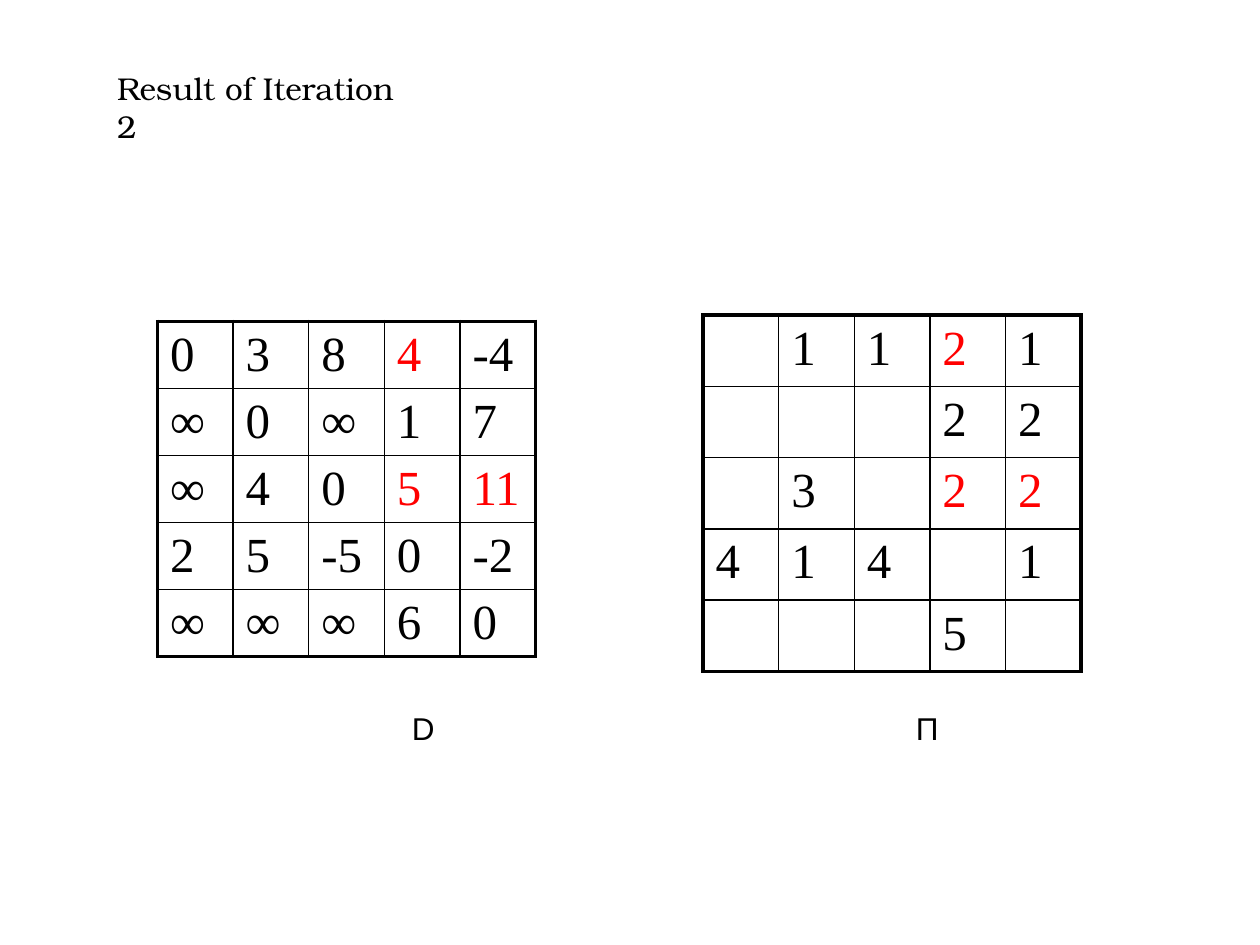
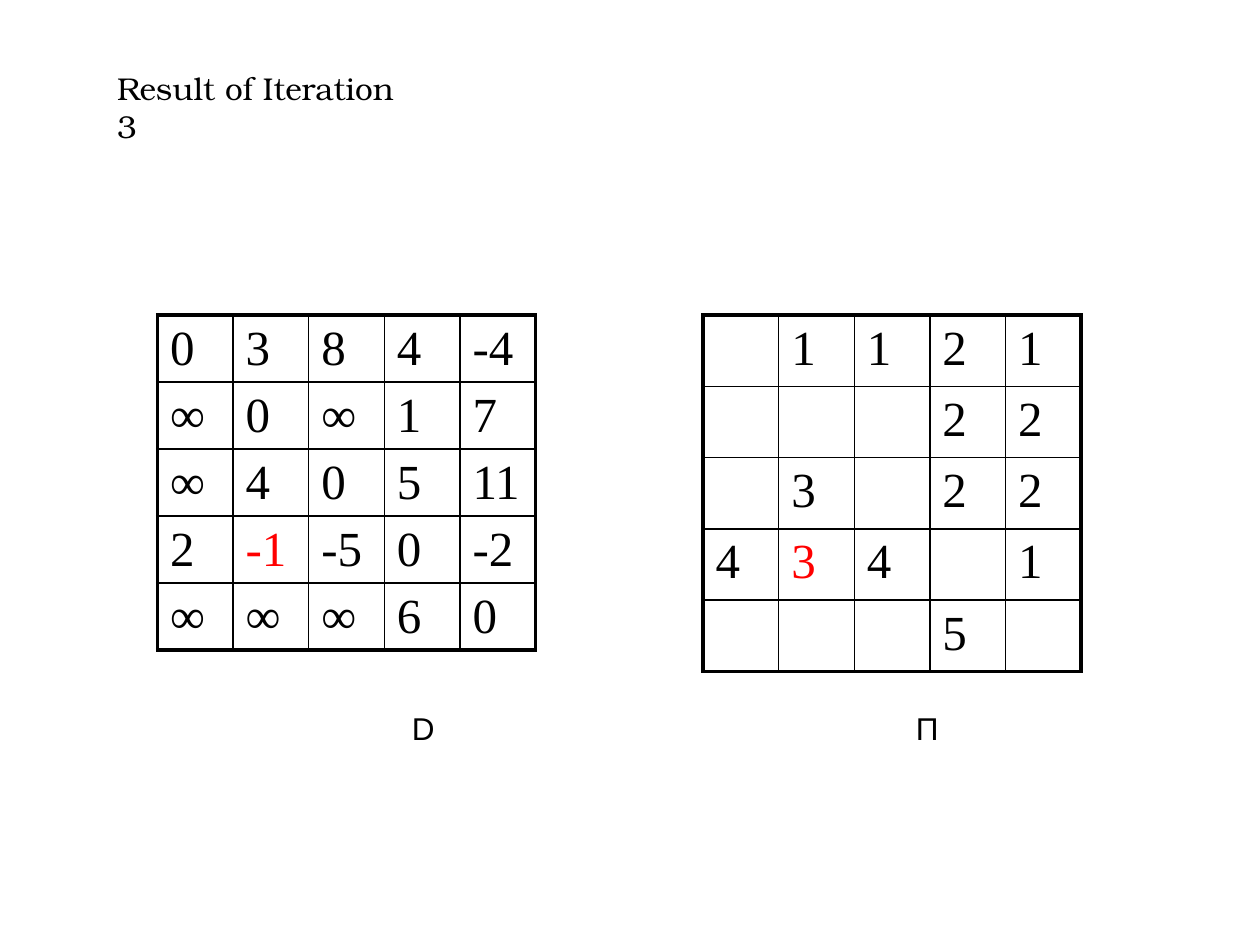
from dataclasses import dataclass

from lxml import etree
from pptx import Presentation
from pptx.dml.color import RGBColor
from pptx.enum import text
from pptx.oxml import ns
from pptx.util import Inches, Pt

BLACK = RGBColor(0x00, 0x00, 0x00)
RED = RGBColor(0xFF, 0x00, 0x00)
TITLE_FONT = "TeX Gyre Bonum"
LABEL_FONT = "Arial"
CELL_FONT = "Times New Roman"
THIN, THICK = Pt(1), Pt(2.25)
CELL_WIDTH = Inches(0.6)
TITLE_ONLY = 5
EMPTY, CHANGED = ".", "*"


@dataclass(frozen=True)
class Matrix:
    """Rows of entries; "." is an empty cell, "*" marks a changed value."""
    left: float
    top: float
    height: float
    rows: tuple[str, ...]


@dataclass(frozen=True)
class Iteration:
    number: int
    distances: Matrix
    predecessors: Matrix


ITERATIONS = (
    Iteration(
        2,
        Matrix(1.25, 2.55, 2.66, ("0 3 8 4* -4", "∞ 0 ∞ 1 7", "∞ 4 0 5* 11*",
                                  "2 5 -5 0 -2", "∞ ∞ ∞ 6 0")),
        Matrix(5.58, 2.5, 2.83, (". 1 1 2* 1", ". . . 2 2", ". 3 . 2* 2*",
                                 "4 1 4 . 1", ". . . 5 .")),
    ),
    Iteration(
        3,
        Matrix(1.25, 2.5, 2.66, ("0 3 8 4 -4", "∞ 0 ∞ 1 7", "∞ 4 0 5 11",
                                 "2 -1* -5 0 -2", "∞ ∞ ∞ 6 0")),
        Matrix(5.58, 2.5, 2.83, (". 1 1 2 1", ". . . 2 2", ". 3 . 2 2",
                                 "4 3* 4 . 1", ". . . 5 .")),
    ),
)


def style_paragraph(para, font_name: str, size: int, color: RGBColor = BLACK) -> None:
    para.font.name = font_name
    para.font.size = Pt(size)
    para.font.color.rgb = color


def set_borders(cell, widths: dict[str, int]) -> None:
    """Draw black cell borders; widths maps L, R, T, B to line widths."""
    properties = cell._tc.get_or_add_tcPr()
    for position, (side, width) in enumerate(widths.items()):
        line = etree.Element(ns.qn(f"a:ln{side}"), w=str(width))
        fill = etree.SubElement(line, ns.qn("a:solidFill"))
        etree.SubElement(fill, ns.qn("a:srgbClr"), val=str(BLACK))
        properties.insert(position, line)


def add_title(page, number: int) -> None:
    title = page.shapes.title
    title.left, title.top = Inches(0.83), Inches(0.5)
    title.width, title.height = Inches(2.42), Inches(0.4)
    frame = title.text_frame
    frame.text = f"Result of Iteration {number}"
    frame.word_wrap = True
    frame.auto_size = text.MSO_AUTO_SIZE.NONE
    frame.vertical_anchor = text.MSO_ANCHOR.TOP
    para = frame.paragraphs[0]
    para.alignment = text.PP_ALIGN.LEFT
    style_paragraph(para, TITLE_FONT, 18)


def add_matrix(page, matrix: Matrix) -> None:
    entries = [row.split() for row in matrix.rows]
    size = len(entries)
    table = page.shapes.add_table(size, size, Inches(matrix.left), Inches(matrix.top),
                                  CELL_WIDTH * size, Inches(matrix.height)).table
    table.first_row = table.horz_banding = False
    last = size - 1
    for r, row in enumerate(entries):
        for c, entry in enumerate(row):
            cell = table.cell(r, c)
            cell.fill.background()
            cell.text = "" if entry == EMPTY else entry.rstrip(CHANGED)
            color = RED if entry.endswith(CHANGED) else BLACK
            style_paragraph(cell.text_frame.paragraphs[0], CELL_FONT, 28, color)
            outer = {"L": c == 0, "R": c == last, "T": r == 0, "B": r == last}
            set_borders(cell, {side: THICK if edge else THIN
                               for side, edge in outer.items()})


def add_labels(page) -> None:
    """Name both matrices on one line, placed by tab stops."""
    box = page.shapes.add_textbox(Inches(2.17), Inches(5.58), Inches(5.65), Inches(0.4))
    box.text_frame.word_wrap = True
    para = box.text_frame.paragraphs[0]
    para.text = "\tD\tΠ"
    style_paragraph(para, LABEL_FONT, 18)
    properties = para._p.get_or_add_pPr()
    stops = etree.Element(ns.qn("a:tabLst"))
    for stop in (Inches(1), Inches(5)):
        etree.SubElement(stops, ns.qn("a:tab"), pos=str(stop), algn="l")
    properties.insert(0, stops)  # tab stops precede the default run properties


def main() -> None:
    deck = Presentation()
    deck.slide_width, deck.slide_height = Inches(10), Inches(7.5)
    for iteration in ITERATIONS:
        page = deck.slides.add_slide(deck.slide_layouts[TITLE_ONLY])
        add_title(page, iteration.number)
        add_matrix(page, iteration.distances)
        add_matrix(page, iteration.predecessors)
        add_labels(page)
    deck.save("out.pptx")


if __name__ == "__main__":
    main()
